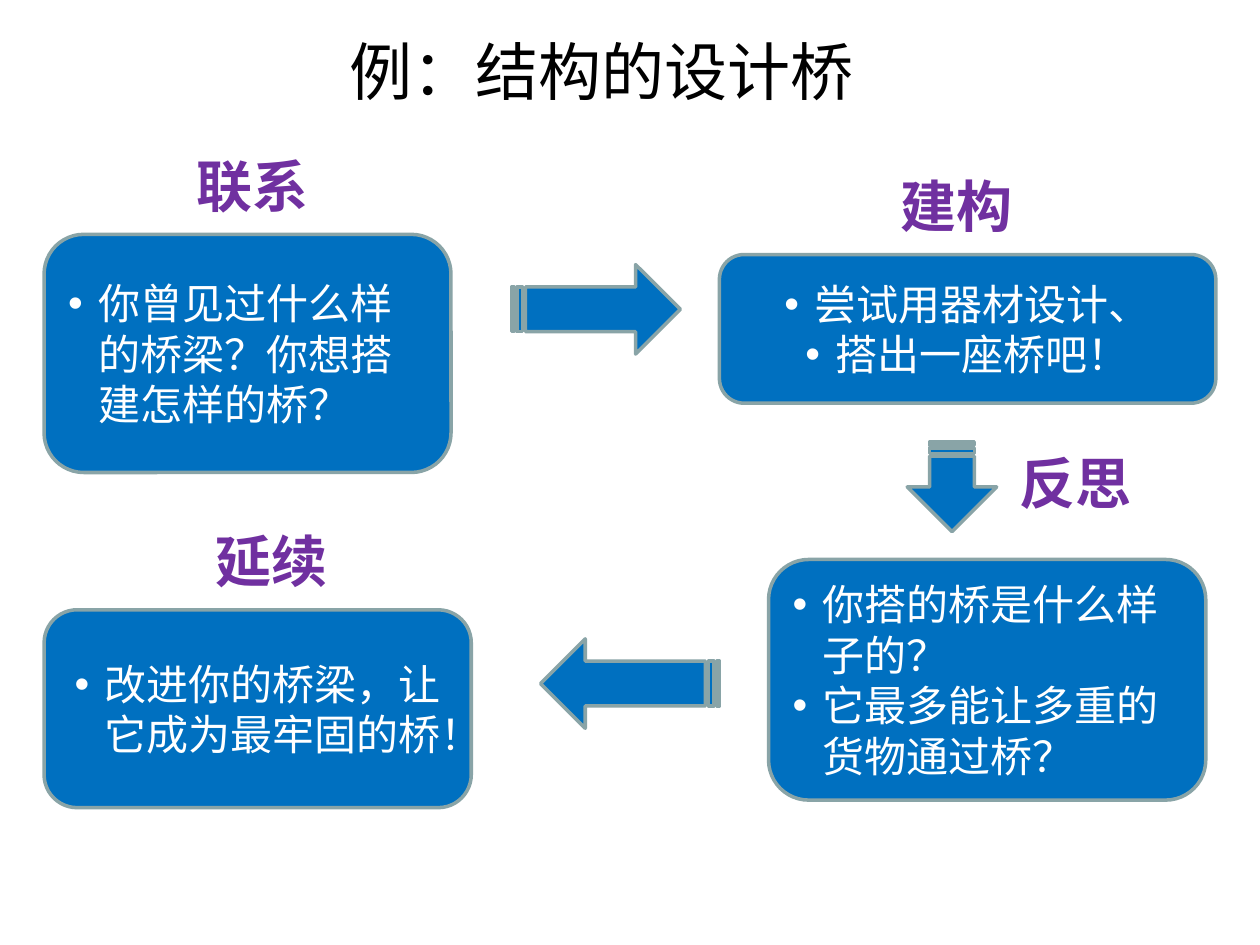
from pptx import Presentation
from pptx.dml.color import RGBColor
from pptx.enum.shapes import MSO_SHAPE
from pptx.enum.text import MSO_ANCHOR, PP_ALIGN
from pptx.oxml.ns import qn
from pptx.util import Inches, Pt
from lxml.etree import SubElement

CJK_FONT = "Noto Sans CJK SC"
BLUE, GREY, PURPLE, WHITE, BLACK = "0070C0", "89A4A7", "7030A0", "FFFFFF", "000000"


def color(value):
    return RGBColor.from_string(value)


def set_fill(shape, value):
    shape.fill.solid()
    shape.fill.fore_color.rgb = color(value)


def style_paragraph(para, name, size, value, bold=False):
    font = para.font
    font.name, font.size, font.bold = name, Pt(size), bold
    font.color.rgb = color(value)
    for span in para.runs:
        properties = span._r.get_or_add_rPr()
        SubElement(properties, qn("a:ea")).set("typeface", name)


def add_bullet(para):
    properties = para._p.get_or_add_pPr()
    properties.set("marL", str(Inches(0.24)))
    properties.set("indent", str(-Inches(0.24)))
    SubElement(properties, qn("a:buFont")).set("typeface", "Arial")
    SubElement(properties, qn("a:buChar")).set("char", "•")


def add_block(page, kind, box):
    shape = page.shapes.add_shape(kind, *map(Inches, box))
    shape.shadow.inherit = False
    set_fill(shape, BLUE)
    shape.line.color.rgb = color(GREY)
    shape.line.width = Pt(2)
    return shape


def add_title(page, box, text):
    title = page.shapes.title
    title.left, title.top, title.width, title.height = map(Inches, box)
    set_fill(title, WHITE)
    frame = title.text_frame
    frame.text = text
    frame.vertical_anchor = MSO_ANCHOR.TOP
    frame.paragraphs[0].alignment = PP_ALIGN.CENTER
    style_paragraph(frame.paragraphs[0], CJK_FONT, 36, BLACK)


def add_label(page, left, top, text):
    label = page.shapes.add_textbox(*map(Inches, (left, top, 1.57, 0.64)))
    set_fill(label, WHITE)
    frame = label.text_frame
    frame.word_wrap = True
    frame.text = text
    style_paragraph(frame.paragraphs[0], CJK_FONT, 32, PURPLE, bold=True)


def add_step(page, box, lines, alignment):
    step = add_block(page, MSO_SHAPE.FLOWCHART_ALTERNATE_PROCESS, box)
    frame = step.text_frame
    frame.word_wrap = True
    frame.vertical_anchor = MSO_ANCHOR.MIDDLE
    frame.text = "\n".join(lines)
    for para in frame.paragraphs:
        para.alignment = alignment
        add_bullet(para)
        style_paragraph(para, "Arial", 24, WHITE)


def add_arrow(page, box, rotation):
    arrow = add_block(page, MSO_SHAPE.STRIPED_RIGHT_ARROW, box)
    arrow.rotation = rotation


def build_bridge_slide(page):
    add_title(page, (2.09, 0.21, 5.36, 0.7), "例：结构的设计桥")
    steps = [
        ((0.35, 1.86, 3.23, 1.89), PP_ALIGN.LEFT, ["你曾见过什么样的桥梁？你想搭建怎样的桥？"]),
        ((6.1, 4.44, 3.47, 1.91), PP_ALIGN.LEFT,
         ["你搭的桥是什么样子的？", "它最多能让多重的货物通过桥？"]),
        ((5.71, 2.02, 3.94, 1.18), PP_ALIGN.CENTER, ["尝试用器材设计、", "搭出一座桥吧！"]),
        ((0.35, 4.84, 3.39, 1.57), PP_ALIGN.CENTER, ["改进你的桥梁，让它成为最牢固的桥！"]),
    ]
    for box, alignment, lines in steps:
        add_step(page, box, lines, alignment)
    arrows = [
        ((4.06, 2.1, 1.34, 0.71), 0),
        ((7.2, 3.51, 0.71, 0.71), 90),
        ((4.29, 5.07, 1.42, 0.71), 180),
    ]
    for box, rotation in arrows:
        add_arrow(page, box, rotation)
    labels = [
        (1.46, 1.15, "联系"),
        (1.61, 4.13, "延续"),
        (7.05, 1.31, "建构"),
        (7.99, 3.51, "反思"),
    ]
    for left, top, text in labels:
        add_label(page, left, top, text)


def main():
    deck = Presentation()
    deck.slide_width, deck.slide_height = Inches(10), Inches(7.5)
    build_bridge_slide(deck.slides.add_slide(deck.slide_layouts[5]))
    deck.save("out.pptx")


if __name__ == "__main__":
    main()
